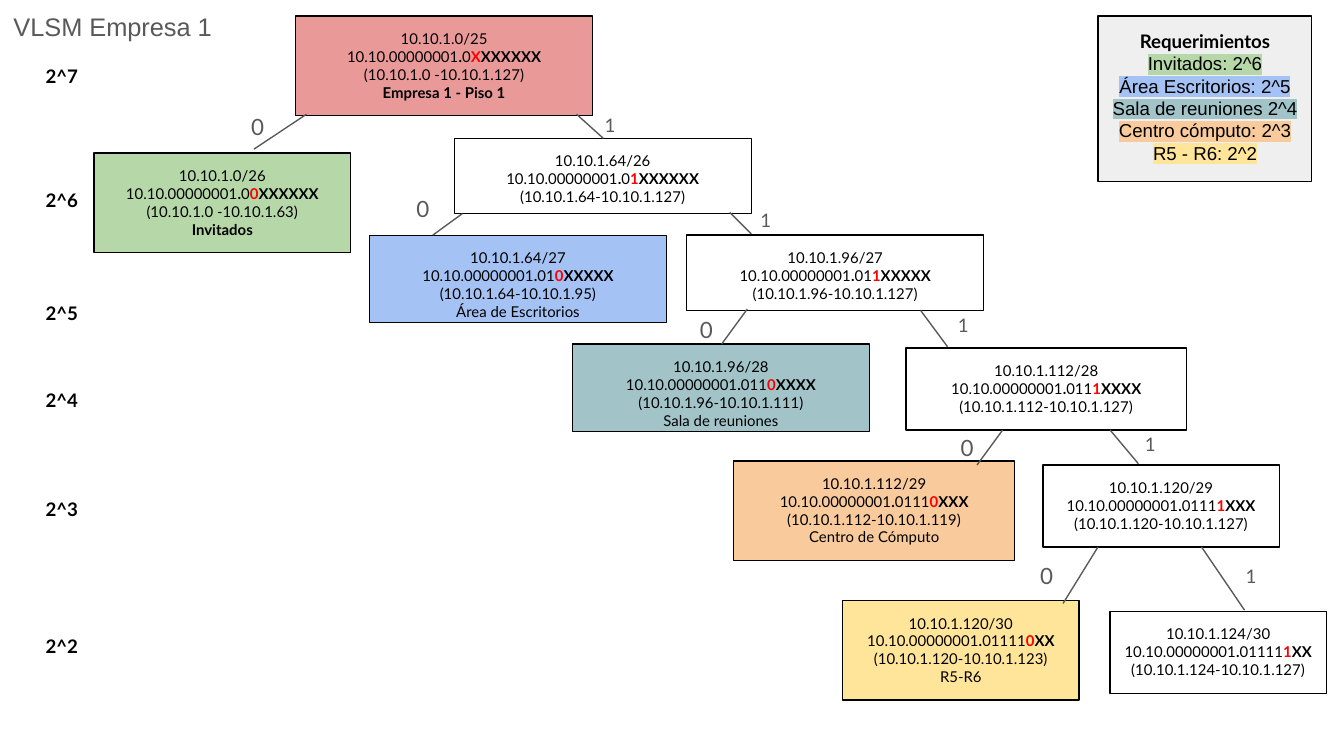
from lxml.etree import SubElement
from pptx import Presentation
from pptx.dml.color import RGBColor
from pptx.enum.shapes import MSO_CONNECTOR as Connector, MSO_SHAPE as Preset
from pptx.enum.text import MSO_ANCHOR as Anchor, PP_ALIGN as Align
from pptx.oxml.ns import qn
from pptx.util import Emu, Pt

EMU_PER_PX = 9144
COLORS = {
    "black": "000000", "gray": "595959", "red": "FF0000", "panel": "EFEFEF",
    "rose": "EA9999", "green": "B6D7A8", "blue": "A4C2F4",
    "teal": "A2C4C9", "orange": "F9CB9C", "yellow": "FFE599",
}
SUBNETS = [
    (0, 25, (220, 12, 221, 74), "rose", "Empresa 1 - Piso 1", True),
    (0, 26, (70, 114, 191, 74), "green", "Invitados", True),
    (64, 26, (338, 103, 221, 56), None, None, False),
    (64, 27, (275, 175, 221, 65), "blue", "Área de Escritorios", False),
    (96, 27, (511, 175, 221, 56), None, None, False),
    (96, 28, (426, 256, 221, 65), "teal", "Sala de reuniones", False),
    (112, 28, (674, 259, 209, 61), None, None, False),
    (112, 29, (546, 343, 209, 74), "orange", "Centro de Cómputo", False),
    (120, 29, (776, 346, 176, 61), None, None, False),
    (120, 30, (627, 447, 176, 74), "yellow", "R5-R6", False),
    (124, 30, (826, 455, 161, 61), None, None, False),
]
BRANCHES = [
    ("0", (228, 85, 189, 111), (177, 74)),
    ("1", (429, 85, 449, 103), (440, 76)),
    ("0", (344, 159, 322, 175), (300, 135)),
    ("1", (543, 158, 559, 174), (556, 147)),
    ("0", (556, 230, 537, 256), (511, 225)),
    ("1", (685, 231, 705, 258), (703, 225)),
    ("0", (746, 320, 727, 346), (705, 313)),
    ("1", (826, 320, 847, 345), (842, 314)),
    ("0", (817, 407, 791, 449), (764, 408)),
    ("1", (894, 407, 926, 454), (917, 412)),
]
BIT_LABELS = {"0": (30, 40, 12), "1": (24, 37, 10)}
LEVELS = {"2^7": 40, "2^6": 132, "2^5": 216, "2^4": 281, "2^3": 362, "2^2": 464}
REQUIREMENTS = [
    ("Invitados: 2^6", "green"),
    ("Área Escritorios: 2^5", "blue"),
    ("Sala de reuniones 2^4", "teal"),
    ("Centro cómputo: 2^3", "orange"),
    ("R5 - R6: 2^2", "yellow"),
]


def px(*lengths):
    return [Emu(length * EMU_PER_PX) for length in lengths]


def rgb(name):
    return RGBColor.from_string(COLORS[name])


def set_attributes(target, values):
    for name, value in values.items():
        setattr(target, name, value)


def add_run(paragraph, text, size, color="black", bold=False, font="Lato", highlight=None):
    run = paragraph.add_run()
    run.text = text
    set_attributes(run.font, {"name": font, "size": Pt(size), "bold": bold})
    run.font.color.rgb = rgb(color)
    if highlight:
        properties = run.font.fill._xPr
        marker = SubElement(properties, qn("a:highlight"))
        SubElement(marker, qn("a:srgbClr"), val=COLORS[highlight])
        properties.find(qn("a:solidFill")).addnext(marker)


def format_frame(frame):
    inset = px(10)[0]
    set_attributes(frame, {
        "word_wrap": True, "vertical_anchor": Anchor.TOP,
        "margin_left": inset, "margin_right": inset,
        "margin_top": inset, "margin_bottom": inset,
    })


def fill_lines(frame, lines):
    for index, runs in enumerate(lines):
        paragraph = frame.add_paragraph() if index else frame.paragraphs[0]
        paragraph.alignment = Align.CENTER
        for text, options in runs:
            add_run(paragraph, text, **options)


def add_box(slide, place, fill, lines):
    shape = slide.shapes.add_shape(Preset.RECTANGLE, *px(*place))
    shape.shadow.inherit = False
    if fill:
        shape.fill.solid()
        shape.fill.fore_color.rgb = rgb(fill)
    else:
        shape.fill.background()
    shape.line.color.rgb = rgb("black")
    shape.line.width = Pt(0.75)
    format_frame(shape.text_frame)
    fill_lines(shape.text_frame, lines)


def add_subnet(slide, base, prefix, place, fill, name, bold_name):
    plain = {"size": 8}
    bold = {"size": 8, "bold": True}
    pattern = format(base, "08b")[:prefix - 24].ljust(8, "X")
    cut = max(prefix - 25, 1)
    last = base + 2 ** (32 - prefix) - 1
    dash = "-" if base else " -"
    lines = [
        [(f"10.10.1.{base}/{prefix}", plain)],
        [("10.10.00000001", plain), (".", bold), (pattern[:cut], plain),
         (pattern[cut], {**bold, "color": "red"}), (pattern[cut + 1:], bold)],
        [(f"(10.10.1.{base}{dash}10.10.1.{last})", plain)],
    ]
    if name:
        lines.append([(name, bold if bold_name else plain)])
    add_box(slide, place, fill, lines)


def add_label(slide, text, place, align=Align.LEFT, **options):
    frame = slide.shapes.add_textbox(*px(*place)).text_frame
    format_frame(frame)
    frame.paragraphs[0].alignment = align
    add_run(frame.paragraphs[0], text, **options)


def add_branch(slide, bit, ends, corner):
    connector = slide.shapes.add_connector(Connector.STRAIGHT, *px(*ends))
    connector.line.color.rgb = rgb("gray")
    connector.line.width = Pt(0.75)
    SubElement(connector._element.spPr, qn("a:effectLst"))
    width, height, size = BIT_LABELS[bit]
    add_label(slide, bit, (*corner, width, height), size=size, color="gray")


def add_requirements(slide):
    lines = [[("Requerimientos", {"size": 10, "bold": True})]]
    for text, color in REQUIREMENTS:
        lines.append([(text, {"size": 10, "font": "Arial", "highlight": color})])
    add_box(slide, (817, 12, 159, 123), "panel", lines)


def set_title(slide, text):
    title = slide.shapes.title
    left, top, width, height = px(0, 0, 220, 40)
    set_attributes(title, {"left": left, "top": top, "width": width, "height": height})
    format_frame(title.text_frame)
    paragraph = title.text_frame.paragraphs[0]
    set_attributes(paragraph, {
        "alignment": Align.LEFT, "line_spacing": 0.95, "space_after": Pt(12),
    })
    add_run(paragraph, text, 13.6, "gray", font="Arial")


def main():
    presentation = Presentation()
    presentation.slide_width = px(1000)[0]
    presentation.slide_height = presentation.slide_width * 9 // 16
    slide = presentation.slides.add_slide(presentation.slide_layouts[5])
    set_title(slide, "VLSM Empresa 1")
    add_requirements(slide)
    for subnet in SUBNETS:
        add_subnet(slide, *subnet)
    for text, top in LEVELS.items():
        add_label(slide, text, (5, top, 82, 37), Align.CENTER, size=10, bold=True)
    for branch in BRANCHES:
        add_branch(slide, *branch)
    presentation.save("out.pptx")


if __name__ == "__main__":
    main()
